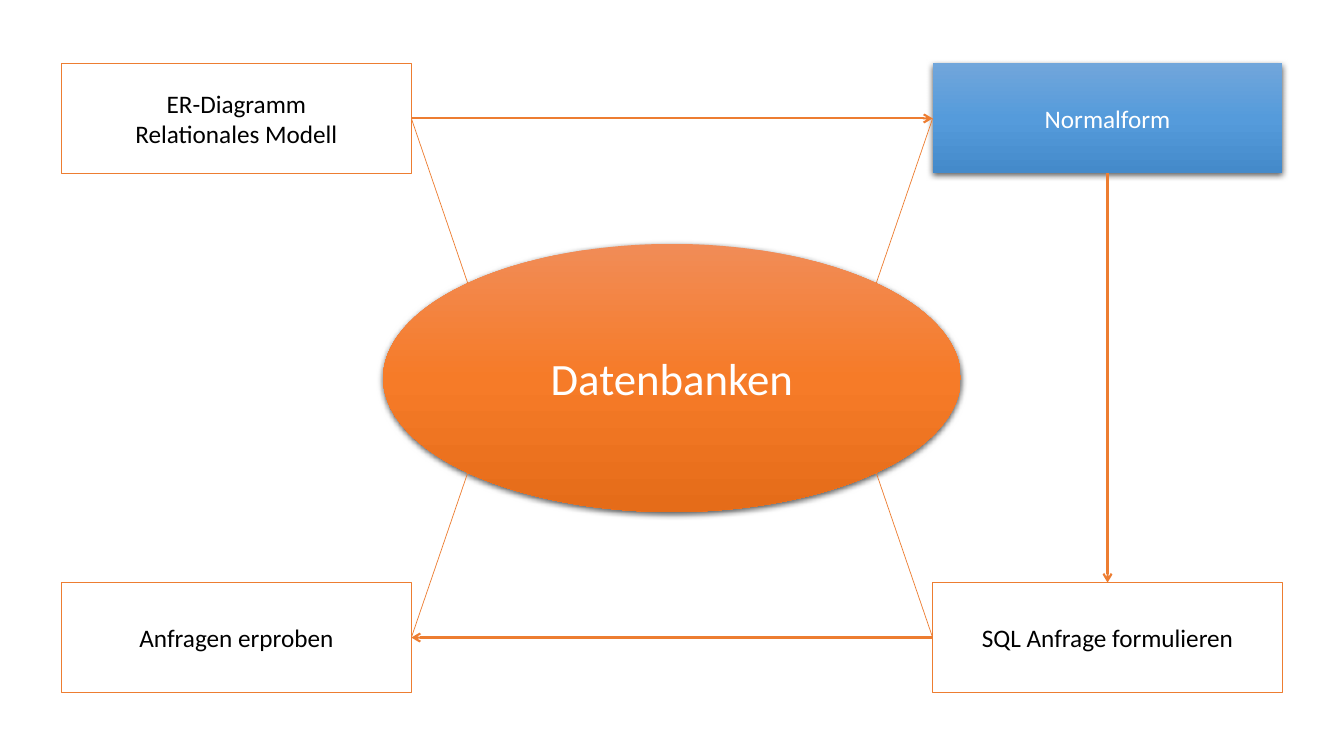
from copy import deepcopy
from dataclasses import dataclass

from pptx import Presentation
from pptx.dml.color import RGBColor
from pptx.enum import shapes, text
from pptx.oxml import ns, parse_xml
from pptx.util import Inches, Pt

COLORS = {
    "white": "FFFFFF",
    "black": "000000",
    "orange": "ED7D31",
}
GRADIENTS = {
    "orange": ("F18C57", "F67B28", "E56C19"),
    "blue": ("71A6DB", "559BDB", "448ACA"),
}
LEFT, RIGHT, TOP, BOTTOM = 0.61, 9.25, 0.63, 5.78
BOX_W, BOX_H = 3.47, 1.09
SITE_TOP, SITE_LEFT, SITE_BOTTOM, SITE_RIGHT = range(4)


@dataclass(frozen=True)
class Node:
    label: str
    x: float
    y: float
    w: float = BOX_W
    h: float = BOX_H
    kind: shapes.MSO_SHAPE = shapes.MSO_SHAPE.RECTANGLE
    gradient: str = ""
    size: int = 18


@dataclass(frozen=True)
class Arrow:
    start: str
    start_site: int
    end: str
    end_site: int


HUB = Node("Datenbanken", 3.8, 2.42, 5.73, 2.66,
           shapes.MSO_SHAPE.OVAL, "orange", 32)
STEPS = {
    "model": Node("ER-Diagramm\nRelationales Modell", LEFT, TOP),
    "normal": Node("Normalform", RIGHT, TOP, gradient="blue"),
    "query": Node("SQL Anfrage formulieren", RIGHT, BOTTOM),
    "test": Node("Anfragen erproben", LEFT, BOTTOM),
}
ARROWS = [
    Arrow("model", SITE_RIGHT, "normal", SITE_LEFT),
    Arrow("normal", SITE_BOTTOM, "query", SITE_TOP),
    Arrow("query", SITE_LEFT, "test", SITE_RIGHT),
]


def rgb(name: str) -> RGBColor:
    return RGBColor.from_string(COLORS[name])


def fill_gradient(sp, name: str) -> None:
    """Fill from top to bottom with three evenly spaced stops."""
    sp.fill.gradient()
    sp.fill.gradient_angle = 270
    stop_list = sp._element.spPr.find(ns.qn("a:gradFill")).gsLst
    stop_list.append(deepcopy(stop_list[-1]))
    for i, (stop, color) in enumerate(zip(sp.fill.gradient_stops, GRADIENTS[name])):
        stop.position = i / 2
        stop.color.rgb = RGBColor.from_string(color)


def add_shadow(sp) -> None:
    effects = sp._element.spPr.find(ns.qn("a:effectLst"))
    effects.append(parse_xml(
        f'<a:outerShdw {ns.nsdecls("a")} blurRad="{Pt(4.5)}" dist="{Pt(1.5)}" '
        f'dir="5400000" rotWithShape="0"><a:srgbClr val="{COLORS["black"]}">'
        '<a:alpha val="63000"/></a:srgbClr></a:outerShdw>'))


def add_node(slide, node: Node):
    sp = slide.shapes.add_shape(
        node.kind, *(Inches(v) for v in (node.x, node.y, node.w, node.h)))
    sp.shadow.inherit = False
    if node.gradient:
        fill_gradient(sp, node.gradient)
        sp.line.fill.background()
        add_shadow(sp)
    else:
        sp.fill.solid()
        sp.fill.fore_color.rgb = rgb("white")
        sp.line.color.rgb = rgb("orange")
        sp.line.width = Pt(1)
    tf = sp.text_frame
    tf.word_wrap = True
    tf.vertical_anchor = text.MSO_ANCHOR.MIDDLE
    p = tf.paragraphs[0]
    p.text = node.label
    p.alignment = text.PP_ALIGN.CENTER
    font_format = {"name": "Calibri", "size": Pt(node.size)}
    for r in p.runs:
        for key, value in font_format.items():
            setattr(r.font, key, value)
        r.font.color.rgb = rgb("white" if node.gradient else "black")
    return sp


def add_line(slide, width: float, end: tuple[float, float] = (0, 0)):
    line = slide.shapes.add_connector(
        shapes.MSO_CONNECTOR.STRAIGHT, 0, 0, *(Inches(v) for v in end))
    line.line.color.rgb = rgb("orange")
    line.line.width = Pt(width)
    line._element.spPr.append(parse_xml(f'<a:effectLst {ns.nsdecls("a")}/>'))
    return line


def add_spoke(slide, node: Node, sp) -> None:
    """Join a box to the nearest diagonal point of the hub ellipse."""
    on_left, on_top = node.x == LEFT, node.y == TOP
    diagonal = 0.5 ** 0.5 / 2
    end = (HUB.x + HUB.w * (0.5 - diagonal if on_left else 0.5 + diagonal),
           HUB.y + HUB.h * (0.5 - diagonal if on_top else 0.5 + diagonal))
    line = add_line(slide, 0.5, end)
    line.begin_connect(sp, SITE_RIGHT if on_left else SITE_LEFT)


def add_arrow(slide, arrow: Arrow, boxes: dict) -> None:
    line = add_line(slide, 1.5)
    line.begin_connect(boxes[arrow.start], arrow.start_site)
    line.end_connect(boxes[arrow.end], arrow.end_site)
    line.line._get_or_add_ln().append(
        parse_xml(f'<a:tailEnd {ns.nsdecls("a")} type="arrow"/>'))


def main() -> None:
    prs = Presentation()
    prs.slide_width, prs.slide_height = Inches(13.33), Inches(7.5)
    s = prs.slides.add_slide(prs.slide_layouts[6])
    add_node(s, HUB)
    boxes = {key: add_node(s, node) for key, node in STEPS.items()}
    for key, node in STEPS.items():
        add_spoke(s, node, boxes[key])
    for arrow in ARROWS:
        add_arrow(s, arrow, boxes)
    prs.save("out.pptx")


if __name__ == "__main__":
    main()
